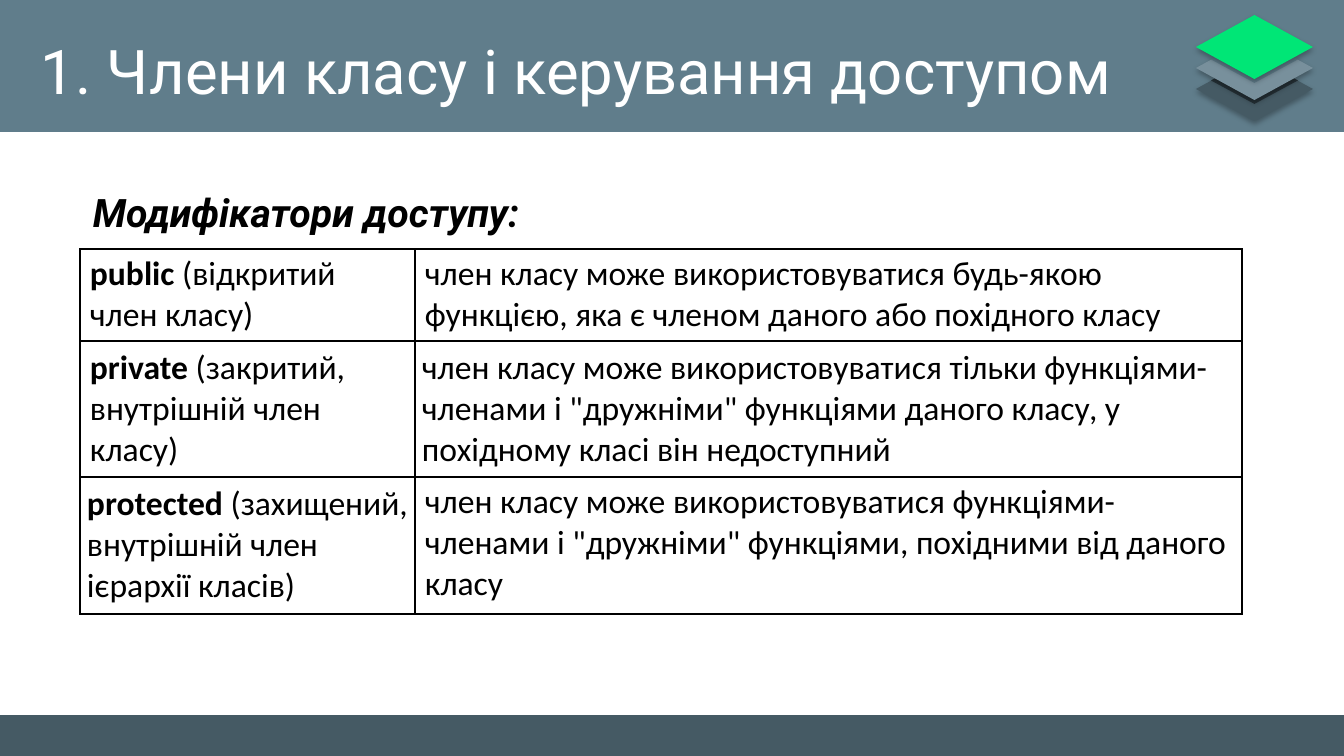
from dataclasses import dataclass
from typing import Optional

import pptx
import pptx.dml.color
import pptx.enum.shapes
import pptx.enum.text
import pptx.oxml
import pptx.oxml.ns
import pptx.util

RGB = pptx.dml.color.RGBColor
KIND = pptx.enum.shapes.MSO_SHAPE
ANCHOR = pptx.enum.text.MSO_ANCHOR
ALIGN = pptx.enum.text.PP_ALIGN
NS = pptx.oxml.ns.nsdecls("a")

WHITE = RGB(0xFF, 0xFF, 0xFF)
BLACK = RGB(0, 0, 0)
SLATE = RGB(0x45, 0x5A, 0x64)
STEEL = RGB(0x60, 0x7D, 0x8B)
NIGHT = RGB(0x26, 0x32, 0x38)
MIST = RGB(0x78, 0x90, 0x9C)
GREEN = RGB(0x00, 0xE6, 0x76)

SCALE = 914400 / 100.8
WIDE, HIGH = 1344, 756


@dataclass
class Box:
    left: int
    top: int
    width: int
    height: int


@dataclass
class Layer:
    top: int
    color: RGB
    shade: Optional[RGB]


@dataclass
class Cell:
    bold: str
    plain: str
    inset: int
    anchor: ANCHOR


LAYERS = [Layer(57, SLATE, NIGHT), Layer(36, MIST, STEEL), Layer(15, GREEN, None)]
COLS = [335, 827]
ROWS = [92, 136, 137]
CELLS = [
    [
        Cell("public", " (відкритий член класу)", 10, ANCHOR.MIDDLE),
        Cell("", "член класу може використовуватися будь-якою функцією, "
             "яка є членом даного або похідного класу", 10, ANCHOR.MIDDLE),
    ],
    [
        Cell("private", " (закритий, внутрішній член класу)", 10, ANCHOR.MIDDLE),
        Cell("", "член класу може використовуватися тільки функціями-членами "
             "і \"дружніми\" функціями даного класу, у похідному класі він "
             "недоступний", 7, ANCHOR.TOP),
    ],
    [
        Cell("protected", " (захищений, внутрішній член ієрархії класів)", 7, ANCHOR.TOP),
        Cell("", "член класу може використовуватися функціями-членами і "
             "\"дружніми\" функціями, похідними від даного класу", 10, ANCHOR.TOP),
    ],
]


def px(size: int) -> int:
    return round(size * SCALE)


def place(box: Box) -> tuple[int, int, int, int]:
    return px(box.left), px(box.top), px(box.width), px(box.height)


def style(run, font: str, size: int, color: RGB, bold=False, slant=False) -> None:
    run.font.name = font
    run.font.size = pptx.util.Pt(size)
    run.font.color.rgb = color
    run.font.bold = bold
    run.font.italic = slant


def draw(slide, kind: KIND, box: Box, color: RGB):
    shape = slide.shapes.add_shape(kind, *place(box))
    shape.shadow.inherit = False
    shape.fill.solid()
    shape.fill.fore_color.rgb = color
    shape.line.fill.background()
    return shape


def shadow(shape) -> None:
    blur, dist = pptx.util.Pt(4), pptx.util.Pt(2)
    glow = pptx.oxml.parse_xml(
        f'<a:outerShdw {NS} blurRad="{blur}" dist="{dist}" dir="5400000" '
        f'algn="t" rotWithShape="0"><a:srgbClr val="{BLACK}">'
        '<a:alpha val="30000"/></a:srgbClr></a:outerShdw>')
    shape._element.spPr.find(pptx.oxml.ns.qn("a:effectLst")).append(glow)


def stack(slide, layer: Layer) -> None:
    shadow(draw(slide, KIND.DIAMOND, Box(1196, layer.top, 117, 64), layer.color))
    if layer.shade is not None:
        draw(slide, KIND.DIAMOND, Box(1211, layer.top, 87, 47), layer.shade)


def write(slide, box: Box, text: str):
    frame = slide.shapes.add_textbox(*place(box)).text_frame
    frame.word_wrap = True
    frame.vertical_anchor = ANCHOR.MIDDLE
    frame.text = text
    return frame.paragraphs[0]


def border(cell) -> None:
    props = cell._tc.get_or_add_tcPr()
    for spot, side in enumerate("LRTB"):
        props.insert(spot, pptx.oxml.parse_xml(
            f'<a:ln{side} {NS} w="{pptx.util.Pt(1)}"><a:solidFill>'
            f'<a:srgbClr val="{BLACK}"/></a:solidFill></a:ln{side}>'))


def fill(cell, item: Cell) -> None:
    cell.fill.background()
    border(cell)
    cell.vertical_anchor = item.anchor
    cell.margin_left = cell.margin_right = px(item.inset)
    cell.margin_top = cell.margin_bottom = px(5 if item.inset == 10 else 7)
    para = cell.text_frame.paragraphs[0]
    for text, bold in ((item.bold, True), (item.plain, False)):
        if text:
            run = para.add_run()
            run.text = text
            style(run, "Calibri", 24, BLACK, bold)


def grid(slide, box: Box) -> None:
    table = slide.shapes.add_table(len(ROWS), len(COLS), *place(box)).table
    table.first_row = False
    table.horz_banding = False
    for col, width in zip(table.columns, COLS):
        col.width = px(width)
    for row, height, items in zip(table.rows, ROWS, CELLS):
        row.height = px(height)
        for cell, item in zip(row.cells, items):
            fill(cell, item)


deck = pptx.Presentation()
deck.slide_width, deck.slide_height = px(WIDE), px(HIGH)
slide = deck.slides.add_slide(deck.slide_layouts[6])

draw(slide, KIND.RECTANGLE, Box(0, 715, WIDE, 41), SLATE)
draw(slide, KIND.RECTANGLE, Box(0, 0, WIDE, 132), STEEL)
for layer in LAYERS:
    stack(slide, layer)

title = write(slide, Box(31, 27, 1158, 86), "1. Члени класу і керування доступом")
style(title.runs[0], "Roboto", 44, WHITE)

head = write(slide, Box(44, 183, 1198, 57), "Модифікатори доступу:")
head.alignment = ALIGN.JUSTIFY
head.space_before = head.space_after = pptx.util.Pt(6)
head._p.get_or_add_pPr().set("indent", str(px(39)))
style(head.runs[0], "Roboto", 28, BLACK, True, True)

grid(slide, Box(80, 249, sum(COLS), sum(ROWS)))

deck.save("out.pptx")
